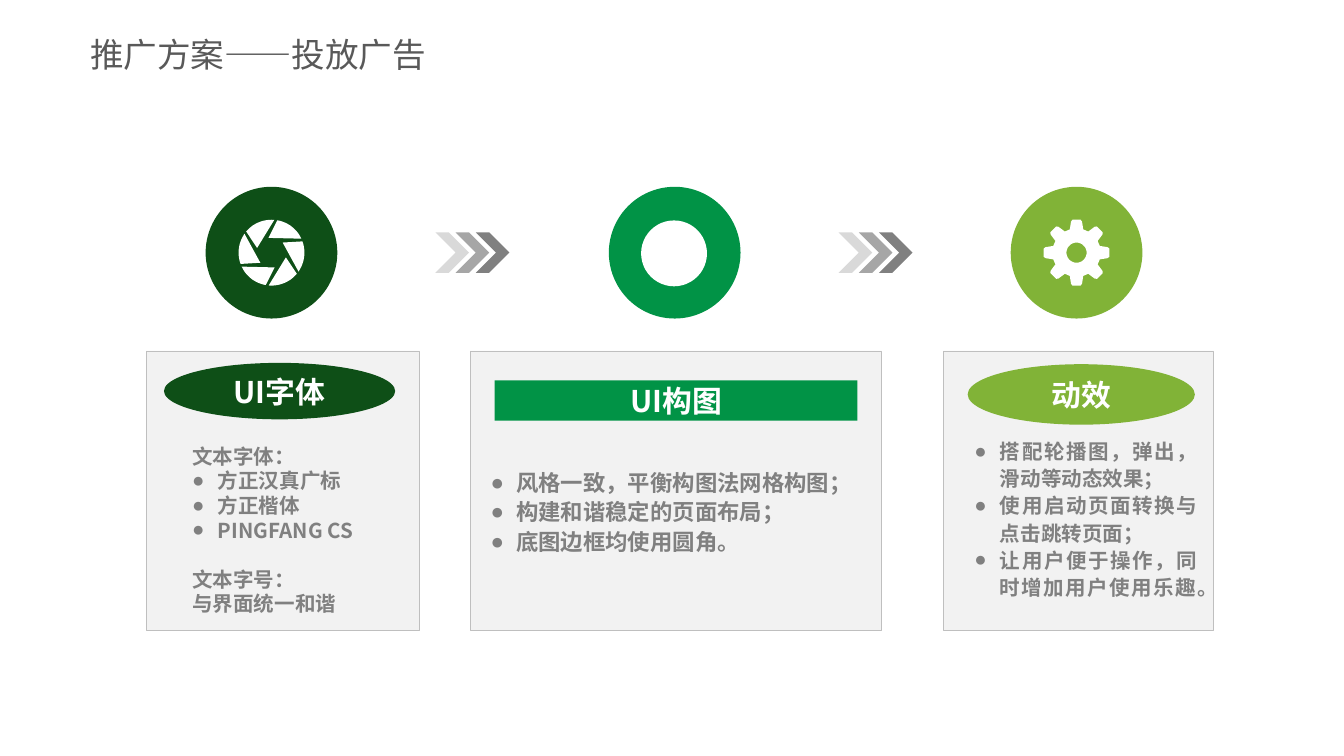
from math import cos, radians, sin

from pptx import Presentation
from pptx.dml.color import RGBColor as Color
from pptx.enum.shapes import MSO_SHAPE as Shape
from pptx.enum.text import MSO_ANCHOR as Anchor, MSO_AUTO_SIZE as Fit, PP_ALIGN as Align
from pptx.oxml.xmlchemy import OxmlElement as Node
from pptx.util import Inches, Pt

FONT = "Noto Sans CJK SC"
WHITE = Color(0xFF, 0xFF, 0xFF)
DARK = Color(0x0E, 0x4F, 0x17)
GREEN = Color(0x01, 0x93, 0x46)
LIME = Color(0x81, 0xB3, 0x37)
PALE = Color(0xF2, 0xF2, 0xF2)
EDGE = Color(0xBF, 0xBF, 0xBF)
GRAY = Color(0x80, 0x80, 0x80)
INK = Color(0x59, 0x59, 0x59)
SHADES = (Color(0xD9, 0xD9, 0xD9), Color(0xA6, 0xA6, 0xA6), GRAY)


def paint(shape, fill, edge=None):
    shape.shadow.inherit = False
    shape.fill.solid()
    shape.fill.fore_color.rgb = fill
    if edge is None:
        shape.line.fill.background()
    else:
        shape.line.color.rgb = edge
        shape.line.width = Pt(0.25)
    return shape


def draw(slide, kind, box, fill, edge=None):
    shape = slide.shapes.add_shape(kind, *map(Inches, box))
    return paint(shape, fill, edge)


def place(shape, box):
    shape.left, shape.top, shape.width, shape.height = map(Inches, box)


def frame(shape, inset, anchor, wrap=True):
    text = shape.text_frame
    text.auto_size = Fit.NONE
    text.word_wrap = wrap
    text.vertical_anchor = anchor
    text.margin_left, text.margin_top, text.margin_right, text.margin_bottom = map(Inches, inset)
    return text


def write(para, words, size, color, bold=True, align=Align.LEFT):
    para.alignment = align
    run = para.add_run()
    run.text = words
    font = run.font
    font.name, font.size, font.bold = FONT, Pt(size), bold
    font.color.rgb = color
    east = Node("a:ea")
    east.set("typeface", FONT)
    font._element.find("{*}latin").addnext(east)


def mark(para, dot):
    props = para._p.get_or_add_pPr()
    props.set("marL", str(Inches(0.19) if dot else 0))
    props.set("indent", str(Inches(-0.19) if dot else 0))
    sign = Node("a:buChar" if dot else "a:buNone")
    if dot:
        sign.set("char", "●")
    props.append(sign)


def add_title(slide, box, words):
    title = slide.shapes.title
    place(title, box)
    text = frame(title, (0, 0.05, 0, 0.05), Anchor.MIDDLE)
    write(text.paragraphs[0], words, 18, INK, bold=False)


def add_list(slide, body, box, items, size, inset, anchor, lead, align):
    place(body, box)
    slide.shapes.element.append(body.element)
    text = frame(body, inset, anchor)
    for i, (words, dot, gap) in enumerate(items):
        para = text.paragraphs[0] if i == 0 else text.add_paragraph()
        para.line_spacing = lead
        para.space_before, para.space_after = Pt(gap), Pt(0)
        mark(para, dot)
        write(para, words, size, GRAY, align=align)


def add_card(slide, box, kind, head, words, fill):
    left, top, width, height = box
    dx, dy, wide, high = head
    draw(slide, Shape.RECTANGLE, box, PALE, EDGE)
    label = draw(slide, kind, (left + dx, top + dy, wide, high), fill)
    text = frame(label, (0, 0, 0, 0), Anchor.MIDDLE, wrap=False)
    write(text.paragraphs[0], words, 16, WHITE, align=Align.CENTER)


def polar(radius, angle):
    return radius * cos(radians(angle)), radius * sin(radians(angle))


def iris():
    return [
        [polar(245, turn + a) for a in range(275, 219, -5)] + [polar(112, turn + 198)]
        for turn in range(0, 360, 60)
    ]


def gear():
    tooth = ((180, -16), (235, -10), (247, -7), (247, 7), (235, 10), (180, 16))
    rim = [polar(r, turn + a) for turn in range(0, 360, 45) for r, a in tooth]
    hole = [polar(75, a) for a in range(360, 0, -10)]
    return [rim, hole]


def add_badge(slide, box, fill, loops):
    left, top, side, _ = box
    draw(slide, Shape.OVAL, box, fill)
    if not loops:
        draw(slide, Shape.OVAL, (left + 0.24, top + 0.25, 0.49, 0.49), WHITE)
        return
    pen = slide.shapes.build_freeform(*loops[0][0], scale=Inches(1) / 1000)
    for i, loop in enumerate(loops):
        if i:
            pen.move_to(*loop[0])
        pen.add_line_segments(loop[1:], close=True)
    mid = Inches(left + side / 2), Inches(top + side / 2)
    paint(pen.convert_to_shape(*mid), WHITE)


def add_arrows(slide, box):
    left, top, width, height = box
    for i, shade in enumerate(SHADES):
        arrow = draw(slide, Shape.CHEVRON, (left + 0.15 * i, top, width, height), shade)
        arrow.adjustments[0] = 0.6


def main():
    deck = Presentation()
    deck.slide_width = Inches(10)
    deck.slide_height = deck.slide_width * 9 // 16
    slide = deck.slides.add_slide(deck.slide_layouts[4])
    hold = {p.placeholder_format.idx: p for p in slide.placeholders}
    for idx, item in hold.items():
        if idx > 3:
            item.element.getparent().remove(item.element)

    add_title(slide, (0.67, 0.19, 2.57, 0.42), "推广方案——投放广告")
    badges = ((1.53, DARK, iris()), (4.53, GREEN, None), (7.52, LIME, gear()))
    for left, fill, loops in badges:
        add_badge(slide, (left, 1.39, 0.98, 0.98), fill, loops)
    for i in range(2):
        add_arrows(slide, (3.24 + 3 * i, 1.73, 0.25, 0.3))

    add_card(slide, (1.09, 2.61, 2.03, 2.08), Shape.OVAL, (0.13, 0.09, 1.72, 0.42), "UI字体", DARK)
    add_card(slide, (3.5, 2.61, 3.06, 2.08), Shape.RECTANGLE, (0.18, 0.22, 2.7, 0.3), "UI构图", GREEN)
    add_card(slide, (7.02, 2.61, 2.01, 2.08), Shape.OVAL, (0.18, 0.1, 1.69, 0.45), "动效", LIME)

    fonts = (
        ("文本字体：", False, 0),
        ("方正汉真广标", True, 0),
        ("方正楷体", True, 0),
        ("PINGFANG CS", True, 0),
        ("文本字号：", False, 13.2),
        ("与界面统一和谐", False, 0),
    )
    form = ("风格一致，平衡构图法网格构图；", "构建和谐稳定的页面布局；", "底图边框均使用圆角。")
    moves = (
        "搭配轮播图，弹出，滑动等动态效果；",
        "使用启动页面转换与点击跳转页面；",
        "让用户便于操作，同时增加用户使用乐趣。",
    )
    add_list(slide, hold[1], (1.33, 3.25, 1.72, 1.4), fonts, 11,
             (0.1, 0.05, 0.1, 0.05), Anchor.TOP, 1.0, Align.LEFT)
    add_list(slide, hold[2], (3.65, 3.25, 2.7, 1.1), [(t, True, 0) for t in form], 12,
             (0, 0, 0, 0), Anchor.MIDDLE, 1.1, Align.LEFT)
    add_list(slide, hold[3], (7.09, 3.25, 1.82, 1.48), [(t, True, 0) for t in moves], 11,
             (0.16, 0, 0, 0), Anchor.TOP, 1.1, Align.JUSTIFY)
    deck.save("out.pptx")


if __name__ == "__main__":
    main()
